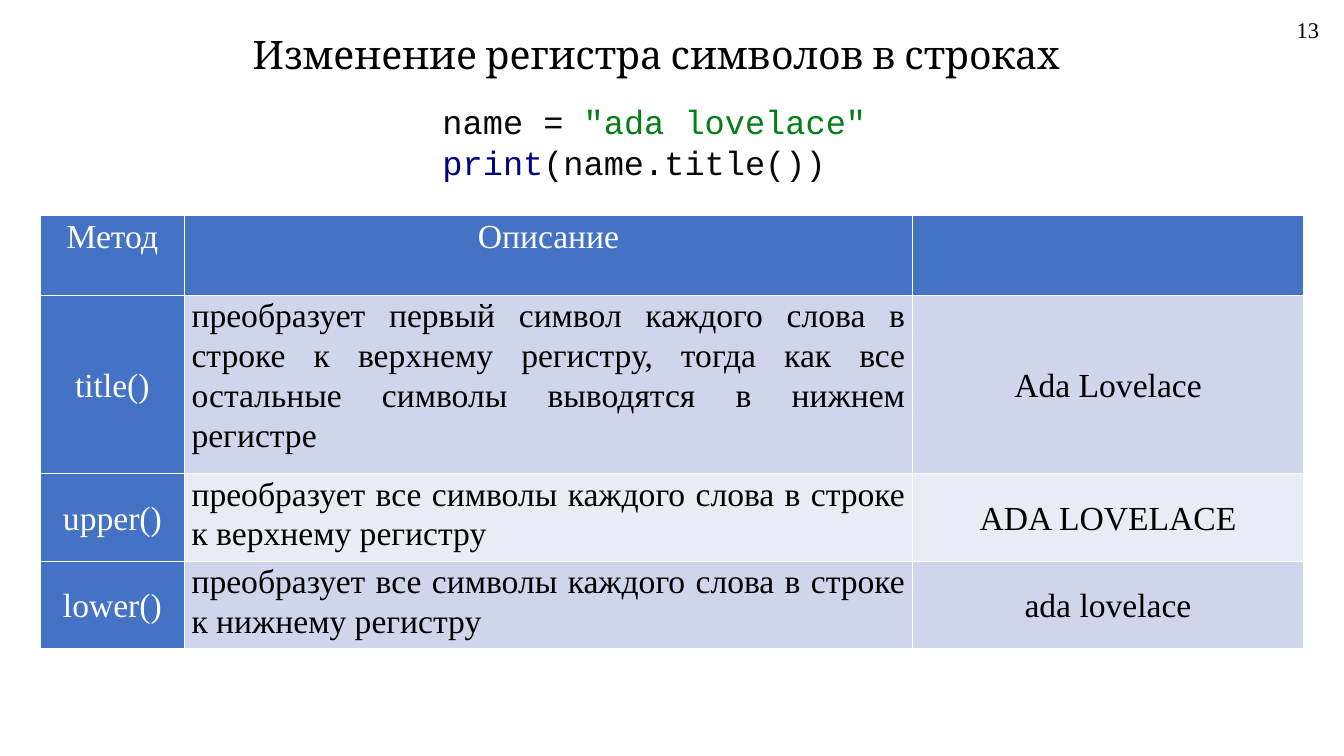
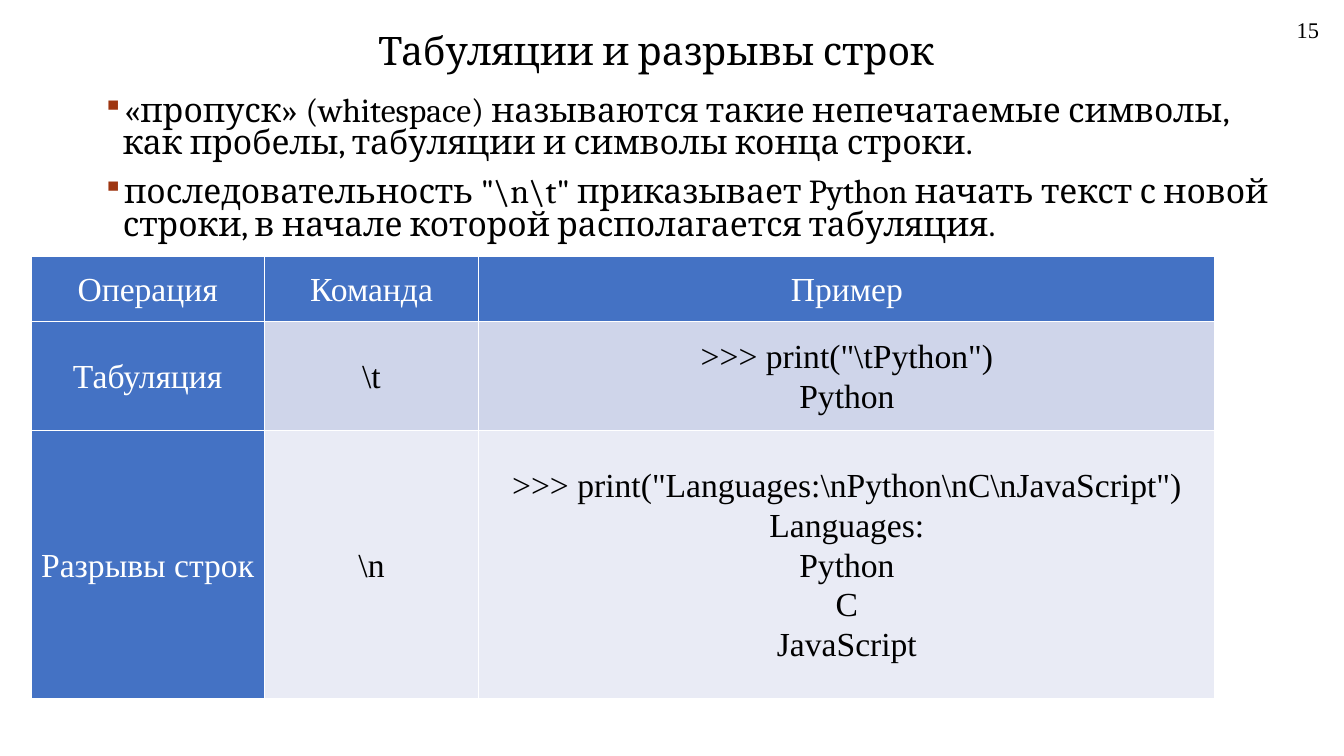
import pptx
import pptx.util
import pptx.dml.color
import pptx.enum.shapes
import pptx.enum.text
import pptx.oxml
import pptx.oxml.ns
import lxml.etree

Inches = pptx.util.Inches
Pt = pptx.util.Pt
ALIGN = pptx.enum.text.PP_ALIGN
ANCHOR = pptx.enum.text.MSO_ANCHOR

HUES = {
    "white": "FFFFFF", "black": "000000", "head": "4472C4",
    "odd": "CFD5EA", "even": "E9EBF5", "bullet": "9E3611",
    "code": "080808", "string": "067D17", "word": "000080",
}
SERIF, MONO, TIMES = "Cambria", "Courier New", "Times New Roman"


def hue(name):
    return pptx.dml.color.RGBColor.from_string(HUES[name])


def style(para, face, size, color, align=ALIGN.LEFT, lead=1.0):
    para.alignment = align
    para.line_spacing = lead
    para.font.name = face
    para.font.size = Pt(size)
    para.font.bold = False
    para.font.color.rgb = hue(color)


def add(parent, tag, **attrs):
    node = lxml.etree.SubElement(parent, pptx.oxml.ns.qn(tag))
    for key, value in attrs.items():
        node.set(key, value)
    return node


def text_box(slide, box, anchor=ANCHOR.MIDDLE):
    frame = slide.shapes.add_textbox(*map(Inches, box)).text_frame
    frame.word_wrap = True
    frame.vertical_anchor = anchor
    return frame


def start(deck, title, box, number):
    slide = deck.slides.add_slide(deck.slide_layouts[6])
    for words, place, face, size, align, lead in (
        (title, box, SERIF, 28, ALIGN.CENTER, 0.9),
        (number, (12.35, 0.11, 0.83, 0.37), TIMES, 16, ALIGN.RIGHT, 1.0),
    ):
        para = text_box(slide, place).paragraphs[0]
        para.text = words
        style(para, face, size, "black", align, lead)
    return slide


def code(slide, box, lines):
    shape = slide.shapes.add_shape(
        pptx.enum.shapes.MSO_SHAPE.RECTANGLE, *map(Inches, box))
    shape.shadow.inherit = False
    shape.fill.solid()
    shape.fill.fore_color.rgb = hue("white")
    shape.line.fill.background()
    frame = shape.text_frame
    frame.word_wrap = True
    frame.vertical_anchor = ANCHOR.MIDDLE
    para = frame.paragraphs[0]
    style(para, MONO, 24, "code")
    for row, line in enumerate(lines):
        if row:
            para.add_line_break()
        for words, color in line:
            run = para.add_run()
            run.text = words
            run.font.color.rgb = hue(color)


def bullets(slide, box, items):
    frame = text_box(slide, box, ANCHOR.TOP)
    for i, item in enumerate(items):
        para = frame.add_paragraph() if i else frame.paragraphs[0]
        para.text = item
        para.line_spacing = 0.8
        para.space_before = Pt(12)
        props = para._p.get_or_add_pPr()
        props.set("marL", str(Inches(0.2)))
        props.set("indent", str(Inches(-0.2)))
        add(add(props, "a:buClr"), "a:srgbClr", val=HUES["bullet"])
        add(props, "a:buSzPct", val="85000")
        add(props, "a:buChar", char="▪")
        style(para, SERIF, 24, "black", lead=0.8)


def border(cell):
    props = cell._tc.get_or_add_tcPr()
    for side in ("L", "R", "T", "B"):
        line = add(props, f"a:ln{side}", w=str(Pt(1)))
        add(add(line, "a:solidFill"), "a:srgbClr", val=HUES["white"])


def fill_cell(cell, words, fill, color, align, anchor, pad):
    border(cell)
    cell.fill.solid()
    cell.fill.fore_color.rgb = hue(fill)
    cell.margin_left = cell.margin_right = Inches(pad)
    cell.margin_top = cell.margin_bottom = 0
    cell.vertical_anchor = anchor
    cell.text = words
    for para in cell.text_frame.paragraphs:
        style(para, TIMES, 24, color, align, 1.07)


def grid(slide, spot, cols, rows, data, pad, top=ANCHOR.MIDDLE, prose=None):
    size = sum(cols), sum(rows)
    table = slide.shapes.add_table(
        len(rows), len(cols), *map(Inches, (*spot, *size))).table
    for col, width in zip(table.columns, cols):
        col.width = Inches(width)
    for row, height in zip(table.rows, rows):
        row.height = Inches(height)
    for r, line in enumerate(data):
        for c, words in enumerate(line):
            head = r == 0 or c == 0
            fill = "head" if head else "odd" if r % 2 else "even"
            color = "white" if head else "black"
            align, anchor = ALIGN.CENTER, ANCHOR.MIDDLE
            if r == 0:
                anchor = top
            elif c == prose:
                align, anchor = ALIGN.JUSTIFY, ANCHOR.TOP
            fill_cell(table.cell(r, c), words, fill, color, align, anchor, pad)


def case_slide(deck):
    slide = start(deck, "Изменение регистра символов в строках",
                  (0.76, 0.18, 11.5, 0.77), "13")
    data = (
        ("Метод", "Описание", ""),
        ("title()", "преобразует первый символ каждого слова в строке "
         "к верхнему регистру, тогда как все остальные символы "
         "выводятся в нижнем регистре", "Ada Lovelace"),
        ("upper()", "преобразует все символы каждого слова в строке "
         "к верхнему регистру", "ADA LOVELACE"),
        ("lower()", "преобразует все символы каждого слова в строке "
         "к нижнему регистру", "ada lovelace"),
    )
    grid(slide, (0.4, 2.14), (1.43, 7.22, 3.88), (0.79, 1.77, 0.87, 0.87),
         data, 0.07, ANCHOR.TOP, prose=1)
    code(slide, (4.29, 0.95, 4.45, 0.91), (
        (("name = ", "code"), ('"ada lovelace"', "string")),
        (("print", "word"), ("(name.title())", "code")),
    ))


def break_slide(deck):
    slide = start(deck, "Табуляции и разрывы строк",
                  (0.76, 0.12, 11.5, 0.81), "15")
    bullets(slide, (0.92, 0.91, 11.91, 1.68), (
        "«пропуск» (whitespace) называются такие непечатаемые символы, "
        "как пробелы, табуляции и символы конца строки.",
        r'последовательность "\n\t" приказывает Python начать текст '
        "с новой строки, в начале которой располагается табуляция.",
    ))
    tab = (r'>>> print("\tPython")', "Python")
    feed = (r'>>> print("Languages:\nPython\nC\nJavaScript")',
            "Languages:", "Python", "C", "JavaScript")
    data = (
        ("Операция", "Команда", "Пример"),
        ("Табуляция", r"\t", "\n".join(tab)),
        ("Разрывы строк", r"\n", "\n".join(feed)),
    )
    grid(slide, (0.31, 2.54), (2.31, 2.13, 7.3), (0.65, 1.08, 2.66),
         data, 0.08)


def main():
    deck = pptx.Presentation()
    deck.slide_width = Inches(13.33)
    deck.slide_height = Inches(7.5)
    case_slide(deck)
    break_slide(deck)
    deck.save("out.pptx")


if __name__ == "__main__":
    main()
